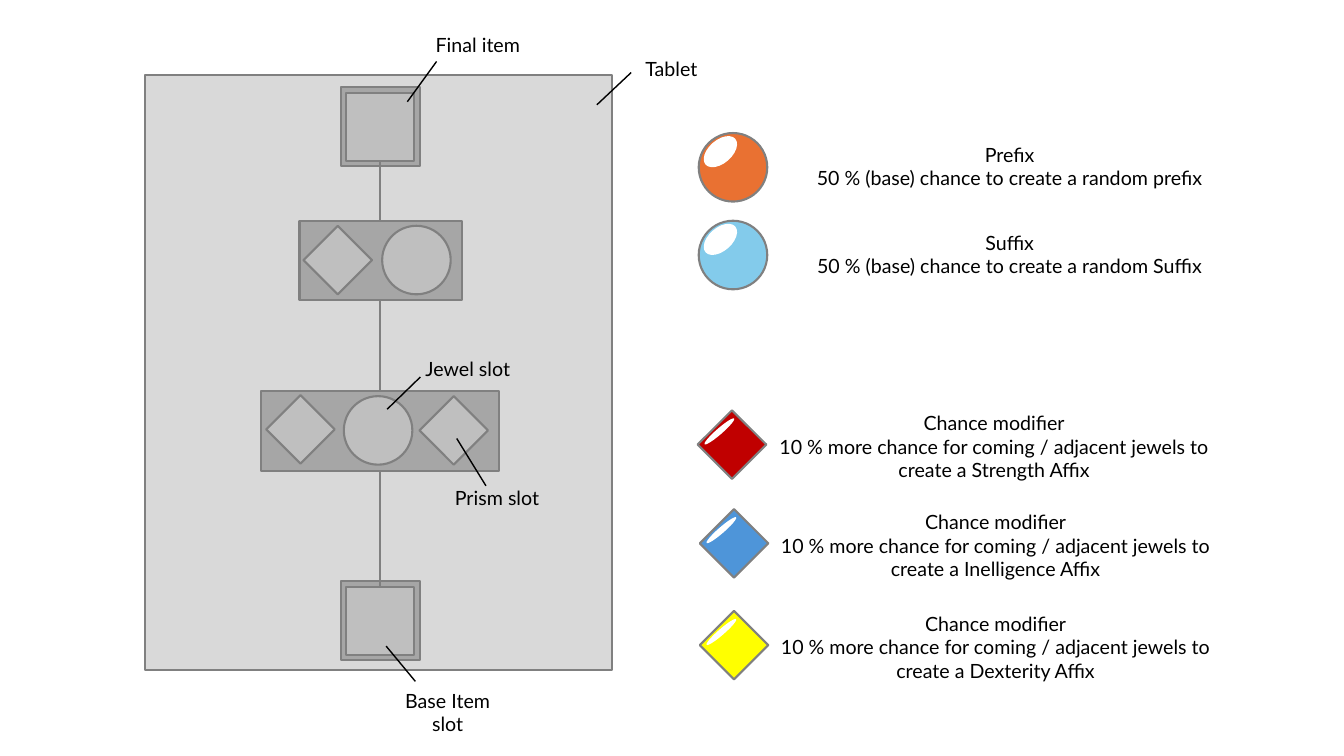
from pptx import Presentation
from pptx.dml.color import RGBColor as Rgb
from pptx.enum.shapes import MSO_CONNECTOR as Conn, MSO_SHAPE as Kind
from pptx.enum.text import MSO_ANCHOR as Anchor, PP_ALIGN as Align
from pptx.oxml.ns import qn
from pptx.util import Pt
from lxml import etree

SCALE = 9144
SLOT = 68
COLORS = {
    "black": "000000",
    "white": "FFFFFF",
    "edge": "808080",
    "tablet": "D9D9D9",
    "frame": "A6A6A6",
    "slot": "BFBFBF",
    "orange": "E97132",
    "sky": "83CBEB",
    "red": "C00000",
    "blue": "4E95D9",
    "yellow": "FFFF00",
}


def px(*vals):
    return [val * SCALE for val in vals]


def tint(name):
    return Rgb.from_string(COLORS[name])


def draw(slide, kind, box, fill, edge="edge", turn=0):
    shape = slide.shapes.add_shape(kind, *px(*box))
    shape.shadow.inherit = False
    shape.rotation = turn
    shape.fill.solid()
    shape.fill.fore_color.rgb = tint(fill)
    if edge:
        shape.line.color.rgb = tint(edge)
        shape.line.width = Pt(1.5)
    else:
        shape.line.fill.background()


def link(slide, start, end, color="black", width=1):
    line = slide.shapes.add_connector(Conn.STRAIGHT, *px(*start, *end))
    line.line.color.rgb = tint(color)
    line.line.width = Pt(width)
    etree.SubElement(line._element.spPr, qn("a:effectLst"))


def write(slide, text, box, size=14, font="Lato", color="black", align=Align.CENTER):
    frame = slide.shapes.add_textbox(*px(*box)).text_frame
    frame.word_wrap = True
    frame.vertical_anchor = Anchor.MIDDLE
    frame.text = text
    for para in frame.paragraphs:
        para.alignment = align
        para.font.size = Pt(size)
        para.font.name = font
        para.font.color.rgb = tint(color)


def socket(slide, kind, left, top, fill="slot"):
    draw(slide, kind, (left, top, SLOT, SLOT), fill)


def holder(slide, top):
    draw(slide, Kind.RECTANGLE, (338, top, 79, 79), "frame")
    socket(slide, Kind.RECTANGLE, 343, top + 6)


def group(slide, box, slots):
    draw(slide, Kind.RECTANGLE, box, "frame")
    for kind, left, top in slots:
        socket(slide, kind, left, top)


def jewel(slide, top, fill, name):
    socket(slide, Kind.OVAL, 693, top, fill)
    draw(slide, Kind.OVAL, (695, top + 7, 39, 23), "white", None, 319)
    text = f"{name}\n50 % (base) chance to create a random {name}"
    if name == "Prefix":
        text = text.replace("random Prefix", "random prefix")
    write(slide, text, (783, top - 4, 437, 74))


def prism(slide, left, top, fill, affix, start):
    socket(slide, Kind.FLOWCHART_DECISION, left, top, fill)
    draw(slide, Kind.OVAL, (left + 2, top + 18, 39, 6), "white", None, 319)
    text = (
        "Chance modifier\n10 % more chance for coming / adjacent jewels "
        f"to create a {affix} Affix"
    )
    write(slide, text, (start, top - 1, 1220 - start, 74))


def main():
    deck = Presentation()
    deck.slide_width, deck.slide_height = px(1333, 750)
    slide = deck.slides.add_slide(deck.slide_layouts[6])
    gem, ball = Kind.FLOWCHART_DECISION, Kind.OVAL

    draw(slide, Kind.RECTANGLE, (144, 74, 463, 591), "tablet")
    for top in (576, 86):
        holder(slide, top)
    link(slide, (377, 582), (377, 159), "edge", 1.5)
    group(slide, (297, 219, 161, 79), [(gem, 301, 224), (ball, 379, 224)])
    group(
        slide,
        (259, 388, 236, 79),
        [(gem, 264, 392), (ball, 341, 393), (gem, 416, 393)],
    )

    labels = [
        ("Base Item slot", (385, 676, 118, 61), (383, 641), (412, 676)),
        ("Tablet", (616, 43, 100, 51), (592, 104), (626, 72)),
        ("Final item", (402, 19, 144, 51), (404, 101), (433, 61)),
        ("Jewel slot", (398, 340, 132, 51), (384, 406), (417, 374)),
        ("Prism slot", (427, 468, 132, 51), (453, 435), (482, 482)),
    ]
    for text, box, start, end in labels:
        write(slide, text, box)
        link(slide, start, end)

    jewel(slide, 132, "orange", "Prefix")
    jewel(slide, 219, "sky", "Suffix")
    prism(slide, 692, 407, "red", "Strength", 752)
    prism(slide, 694, 505, "blue", "Inelligence", 755)
    prism(slide, 694, 606, "yellow", "Dexterity", 755)

    deck.save("out.pptx")


if __name__ == "__main__":
    main()
